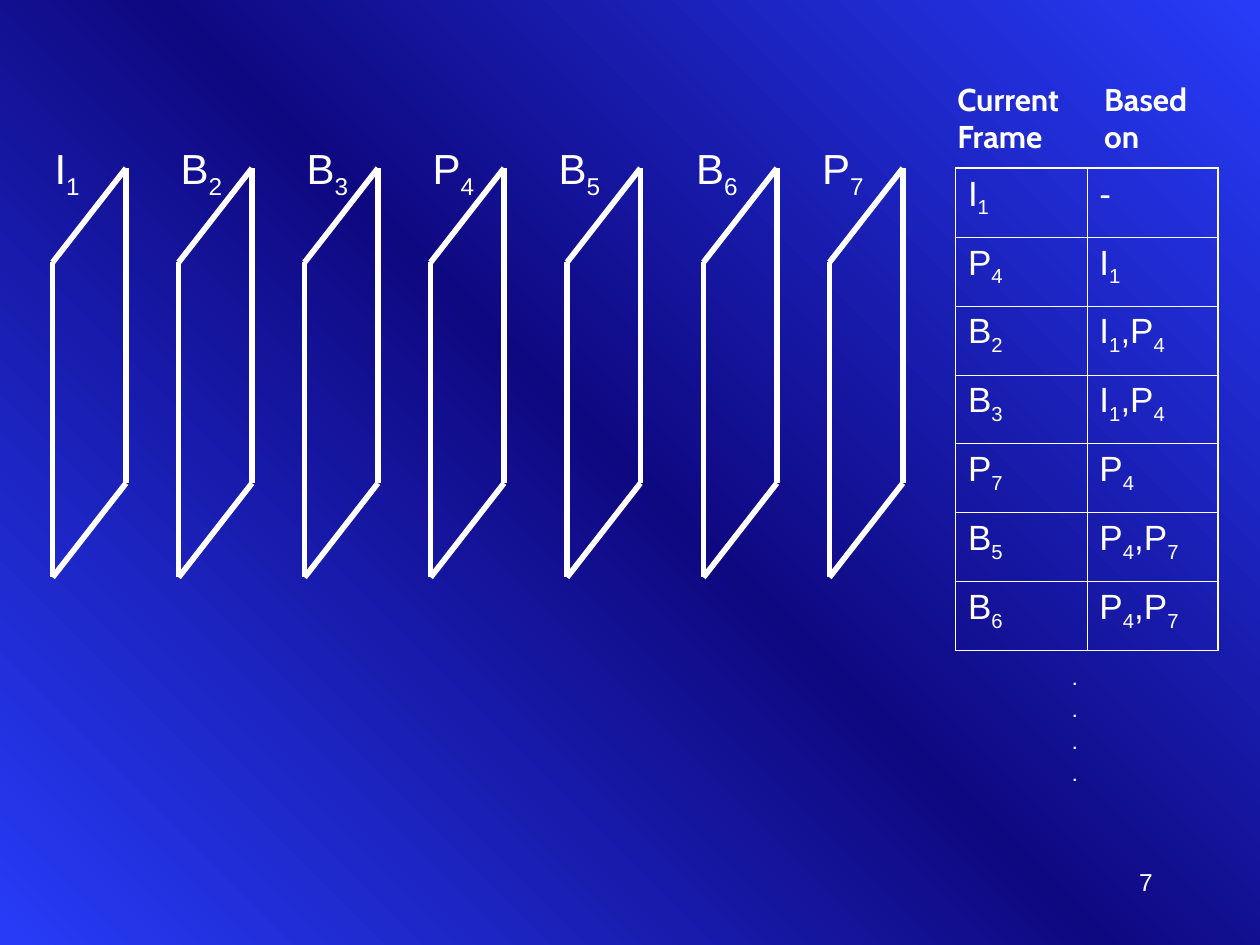
from copy import deepcopy
from itertools import groupby

from lxml.etree import SubElement
from pptx import Presentation
from pptx.dml.color import RGBColor
from pptx.enum.shapes import MSO_CONNECTOR
from pptx.enum.text import PP_ALIGN
from pptx.oxml.ns import qn
from pptx.util import Cm, Pt

WHITE = RGBColor(0xFF, 0xFF, 0xFF)
BRIGHT = RGBColor(0x28, 0x3C, 0xF8)
DARK = RGBColor(0x0F, 0x09, 0x81)

NUMBER = {"name": "Arial", "size": Pt(14)}
LABEL = {"name": "Arial", "size": Pt(24)}
CELL = {"name": "Arial", "size": Pt(20)}
HEADING = {"name": "Cabin", "size": Pt(18), "bold": True}
DOT = {"name": "Cabin", "size": Pt(10), "bold": True}

FRAME_LEFTS = (1.06, 3.6, 6.14, 8.68, 11.43, 14.18, 16.72)
FRAME_WIDTH, FRAME_HEIGHT = 1.48, 6.35
FRAME_TOP, FRAME_SLANT = 3.39, 1.9
FRAME_LABELS = "I1\tB2\tB3\tP4\tB5\t B6\t P7"
TAB_STEP = Cm(2.54)

DEPENDENCIES = (
    ("I1", "-"),
    ("P4", "I1"),
    ("B2", "I1,P4"),
    ("B3", "I1,P4"),
    ("P7", "P4"),
    ("B5", "P4,P7"),
    ("B6", "P4,P7"),
)
COL_WIDTH, ROW_HEIGHT = Cm(2.65), Cm(1.39)


def set_background(s):
    """Fill the slide with a diagonal bright-dark-bright gradient."""
    fill = s.background.fill
    fill.gradient()
    fill.gradient_angle = 45
    stops = s.element.find(".//" + qn("a:gsLst"))
    stops.append(deepcopy(stops[0]))
    for stop, position, color in zip(fill.gradient_stops, (0, 0.5, 1), (BRIGHT, DARK, BRIGHT)):
        stop.position = position
        stop.color.rgb = color


def add_run(p, text, style):
    """Append a white run in the given style."""
    r = p.add_run()
    r.text = text
    for name, value in style.items():
        setattr(r.font, name, value)
    r.font.color.rgb = WHITE
    return r


def add_indexed_text(p, text, style):
    """Write text with its digits, and tabs after them, as subscripts."""
    for is_index, chars in groupby(text, lambda c: c.isdigit() or c == "\t"):
        r = add_run(p, "".join(chars), style)
        if is_index:
            r.font._element.set("baseline", "-25000")


def add_tabbed_text(p, text, style):
    """Write indexed text with one evenly spaced tab stop per tab."""
    tabs = SubElement(p._p.get_or_add_pPr(), qn("a:tabLst"))
    for i in range(1, text.count("\t") + 1):
        SubElement(tabs, qn("a:tab"), pos=str(i * TAB_STEP), algn="l")
    add_indexed_text(p, text, style)


def add_text(s, box, lines, style, before=0, align=PP_ALIGN.LEFT, write=add_run):
    """Add a wrapping text box with one paragraph per line."""
    tf = s.shapes.add_textbox(*map(Cm, box)).text_frame
    tf.word_wrap = True
    for i, line in enumerate(lines):
        p = tf.add_paragraph() if i else tf.paragraphs[0]
        p.alignment = align
        p.space_before = Pt(before)
        write(p, line, style)


def add_line(s, start, end):
    """Draw a white line without shadow."""
    line = s.shapes.add_connector(MSO_CONNECTOR.STRAIGHT, *map(Cm, start + end))
    line.line.color.rgb = WHITE
    line.line.width = Pt(3.25)
    SubElement(line._element.spPr, qn("a:effectLst"))


def add_frame(s, left):
    """Draw a video frame as four lines in perspective."""
    right = left + FRAME_WIDTH
    near_top = FRAME_TOP + FRAME_SLANT
    corners = (
        (left, near_top),
        (left, near_top + FRAME_HEIGHT),
        (right, FRAME_TOP + FRAME_HEIGHT),
        (right, FRAME_TOP),
    )
    for start, end in zip(corners, corners[1:] + corners[:1]):
        add_line(s, start, end)


def set_borders(cell, outer):
    """Give a cell white borders, thicker on its outer sides."""
    tcPr = cell._tc.get_or_add_tcPr()
    for side in "LRTB":
        width = Pt(1.08 if side in outer else 0.45)
        ln = SubElement(tcPr, qn("a:ln" + side), w=str(width))
        fill = SubElement(ln, qn("a:solidFill"))
        SubElement(fill, qn("a:srgbClr"), val=str(WHITE))


def add_dependency_table(s):
    """Add the table of frames and the frames they are based on."""
    rows, cols = len(DEPENDENCIES), len(DEPENDENCIES[0])
    table = s.shapes.add_table(
        rows, cols, Cm(19.26), Cm(FRAME_TOP), cols * COL_WIDTH, rows * ROW_HEIGHT
    ).table
    table.first_row = table.horz_banding = False
    for column in table.columns:
        column.width = COL_WIDTH
    for i, values in enumerate(DEPENDENCIES):
        table.rows[i].height = ROW_HEIGHT
        for j, value in enumerate(values):
            cell = table.cell(i, j)
            p = cell.text_frame.paragraphs[0]
            p.space_before = Pt(5)
            add_indexed_text(p, value, CELL)
            outer = {0: "T", rows - 1: "B"}.get(i, "") + "LR"[j]
            set_borders(cell, outer)
            cell.fill.background()


def main():
    """Build the slide and save it."""
    prs = Presentation()
    prs.slide_width, prs.slide_height = Cm(25.4), Cm(19.05)
    s = prs.slides.add_slide(prs.slide_layouts[6])
    set_background(s)
    add_text(s, (18.2, 17.35, 5.29, 1.27), ["7"], NUMBER, align=PP_ALIGN.RIGHT)
    for left in FRAME_LEFTS:
        add_frame(s, left)
    add_text(s, (0.85, 2.75, 17.36, 1.42), [FRAME_LABELS], LABEL, 15, write=add_tabbed_text)
    add_dependency_table(s)
    add_text(s, (19.05, 1.48, 3.39, 1.78), ["Current Frame"], HEADING, 11.2)
    add_text(s, (22.01, 1.48, 2.54, 1.78), ["Based on"], HEADING, 11.2)
    add_text(s, (21.38, 13.34, 0.85, 2.62), ["."] * 4, DOT, 6.2)
    prs.save("out.pptx")


if __name__ == "__main__":
    main()
